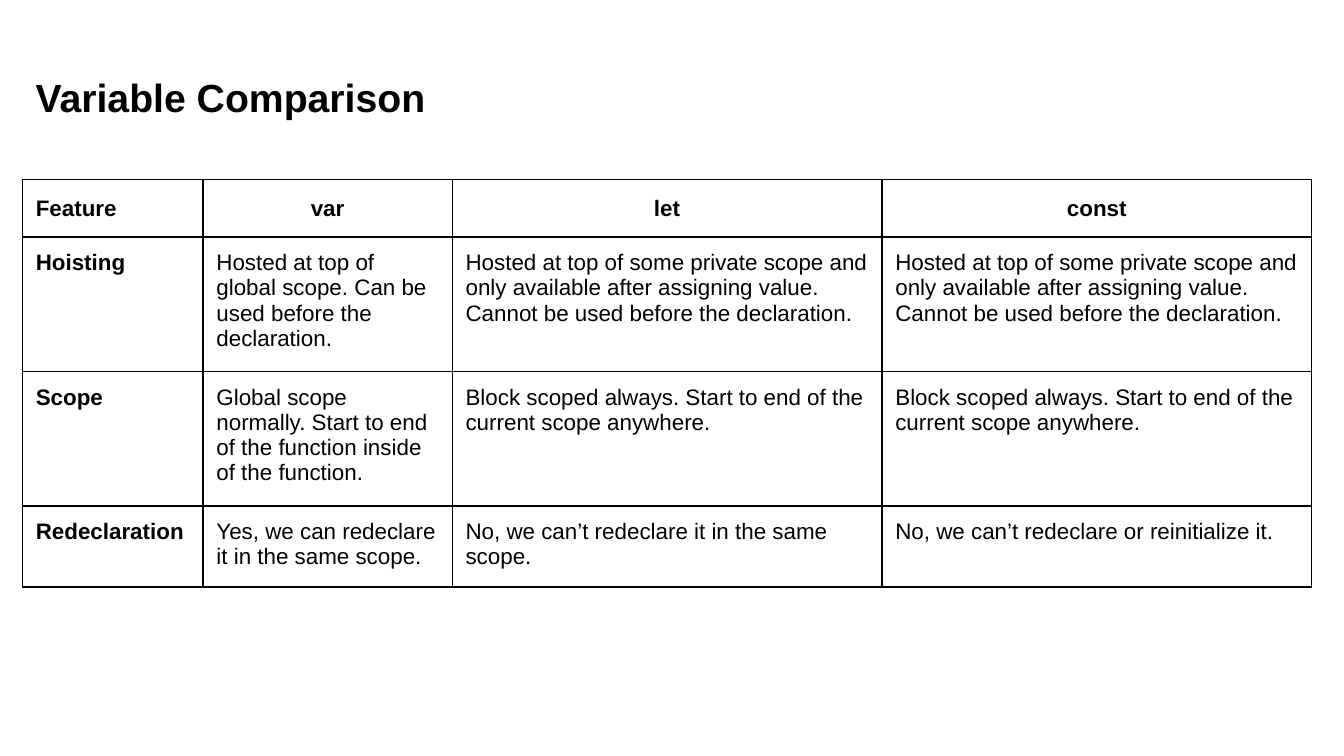
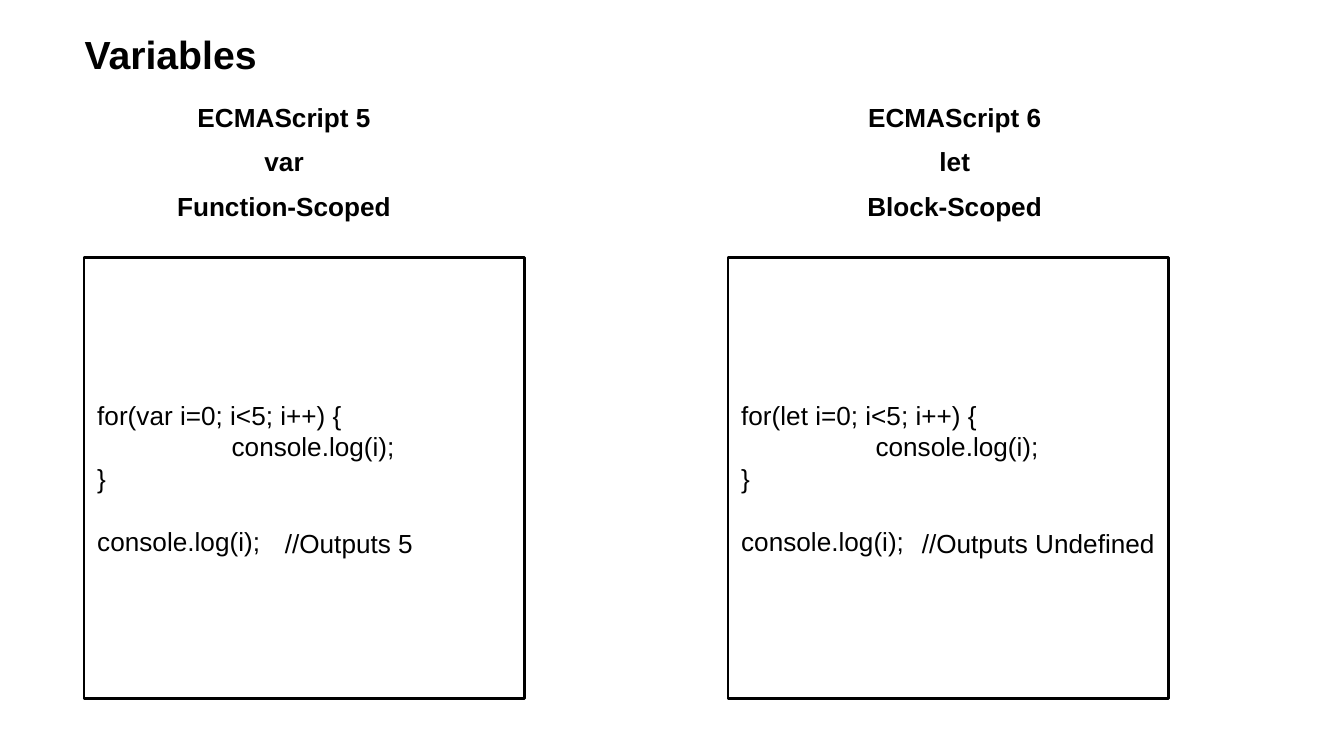
from dataclasses import dataclass

import lxml.etree
import pptx
import pptx.dml.color
import pptx.enum.shapes
import pptx.enum.text
import pptx.oxml.ns
import pptx.util

ALIGN = pptx.enum.text.PP_ALIGN
ANCHOR = pptx.enum.text.MSO_ANCHOR
FIT = pptx.enum.text.MSO_AUTO_SIZE
qn = pptx.oxml.ns.qn
PX = 9525


@dataclass(frozen=True)
class Theme:
    ink: pptx.dml.color.RGBColor = pptx.dml.color.RGBColor(0, 0, 0)
    paper: pptx.dml.color.RGBColor = pptx.dml.color.RGBColor(255, 255, 255)
    face: str = "Arial"
    title: int = 21
    code: int = 14
    cell: int = 12
    grid_line: float = 0.75
    frame_line: float = 1.5
    inset: float = 7.2


THEME = Theme()
INSETS = {
    f"margin_{side}": pptx.util.Pt(THEME.inset)
    for side in ("left", "top", "right", "bottom")
}


@dataclass(frozen=True)
class Box:
    left: int
    top: int
    width: int
    height: int

    def emu(self):
        return [n * PX for n in (self.left, self.top, self.width, self.height)]

    def inner(self, dx, dy, width, height):
        return Box(self.left + dx, self.top + dy, width, height)


def assign(target, values):
    for name, value in values.items():
        setattr(target, name, value)


def write(paragraph, text, size, bold=False, **layout):
    assign(paragraph, layout)
    run = paragraph.add_run()
    run.text = text
    assign(run.font, {"name": THEME.face, "size": pptx.util.Pt(size), "bold": bold})
    run.font.color.rgb = THEME.ink


def add_label(slide, box, text, size, bold=False, fit=FIT.SHAPE_TO_FIT_TEXT, **layout):
    frame = slide.shapes.add_textbox(*box.emu()).text_frame
    assign(frame, {**INSETS, "word_wrap": True, "auto_size": fit})
    paragraph = frame.paragraphs[0]
    write(paragraph, text, size, bold, **layout)
    return paragraph


def add_title(slide, box, text):
    add_label(slide, box, text, THEME.title, bold=True)


def add_heading(slide, box, text):
    paragraph = add_label(
        slide, box, text, THEME.code, bold=True, fit=FIT.NONE,
        alignment=ALIGN.CENTER, line_spacing=0.9,
    )
    properties = paragraph._p.get_or_add_pPr()
    properties.set("marL", str(18 * PX))
    properties.set("indent", str(-10 * PX))


def add_tab_stop(paragraph, position):
    properties = paragraph._p.get_or_add_pPr()
    stops = lxml.etree.SubElement(properties, qn("a:tabLst"))
    lxml.etree.SubElement(stops, qn("a:tab"), pos=str(position * PX), algn="l")


def add_borders(cell):
    properties = cell._tc.get_or_add_tcPr()
    for side in ("lnL", "lnR", "lnT", "lnB"):
        line = lxml.etree.SubElement(
            properties, qn(f"a:{side}"), w=str(pptx.util.Pt(THEME.grid_line))
        )
        fill = lxml.etree.SubElement(line, qn("a:solidFill"))
        lxml.etree.SubElement(fill, qn("a:srgbClr"), val=str(THEME.ink))


def add_comparison(slide, box, widths, heights, rows):
    table = slide.shapes.add_table(len(rows), len(widths), *box.emu()).table
    assign(table, {"first_row": False, "horz_banding": False})
    for column, width in zip(table.columns, widths):
        column.width = width * PX
    for row, height in zip(table.rows, heights):
        row.height = height * PX
    for r, texts in enumerate(rows):
        for c, text in enumerate(texts):
            cell = table.cell(r, c)
            assign(cell, {**INSETS, "vertical_anchor": ANCHOR.TOP})
            add_borders(cell)
            cell.fill.background()
            layout = {"line_spacing": 1.15} if r == 0 else {}
            if r == 0 and c > 0:
                layout["alignment"] = ALIGN.CENTER
            write(cell.text_frame.paragraphs[0], text, THEME.cell,
                  bold=r == 0 or c == 0, **layout)


def add_code_panel(slide, box, keyword, headings, heading_dx,
                   output, output_dx, output_width):
    for i, heading in enumerate(headings):
        add_heading(slide, box.inner(heading_dx, 32 * i - 119, 296, 36), heading)

    panel = slide.shapes.add_shape(
        pptx.enum.shapes.MSO_SHAPE.RECTANGLE, *box.emu()
    )
    panel.shadow.inherit = False
    panel.fill.background()
    panel.line.color.rgb = THEME.ink
    panel.line.width = pptx.util.Pt(THEME.frame_line)
    frame = panel.text_frame
    assign(frame, {**INSETS, "word_wrap": True, "vertical_anchor": ANCHOR.MIDDLE})

    loop = [f"for({keyword} i=0; i<5; i++) {{", "\tconsole.log(i);", "}"]
    for i, code in enumerate(loop):
        paragraph = frame.add_paragraph() if i else frame.paragraphs[0]
        if code.startswith("\t"):
            add_tab_stop(paragraph, 96)
        write(paragraph, code, THEME.code, alignment=ALIGN.LEFT)
    write(frame.add_paragraph(), "console.log(i);", THEME.code,
          alignment=ALIGN.LEFT, space_before=pptx.util.Pt(17))

    add_label(slide, box.inner(output_dx, 183, output_width, 42),
              output, THEME.code)


def new_slide(deck):
    slide = deck.slides.add_slide(deck.slide_layouts[6])
    slide.background.fill.solid()
    slide.background.fill.fore_color.rgb = THEME.paper
    return slide


def build_comparison(deck):
    slide = new_slide(deck)
    add_title(slide, Box(16, 43, 713, 54), "Variable Comparison")
    private_scope = (
        "Hosted at top of some private scope and only available after "
        "assigning value. Cannot be used before the declaration."
    )
    block_scope = "Block scoped always. Start to end of the current scope anywhere."
    rows = [
        ["Feature", "var", "let", "const"],
        ["Hoisting",
         "Hosted at top of global scope. Can be used before the declaration.",
         private_scope, private_scope],
        ["Scope",
         "Global scope normally. Start to end of the function inside of the function.",
         block_scope, block_scope],
        ["Redeclaration",
         "Yes, we can redeclare it in the same scope.",
         "No, we can’t redeclare it in the same scope.",
         "No, we can’t redeclare or reinitialize it."],
    ]
    widths, heights = [129, 178, 307, 307], [41, 96, 96, 58]
    add_comparison(slide, Box(16, 128, sum(widths), sum(heights)),
                   widths, heights, rows)


def build_variables(deck):
    slide = new_slide(deck)
    add_title(slide, Box(51, 12, 315, 54), "Variables")
    add_code_panel(slide, Box(60, 184, 315, 315), "var",
                   ["ECMAScript 5", "var", "Function-Scoped"], -9,
                   "//Outputs 5", 134, 154)
    add_code_panel(slide, Box(520, 184, 315, 315), "let",
                   ["ECMAScript 6", "let", "Block-Scoped"], 10,
                   "//Outputs Undefined", 129, 186)


def main():
    deck = pptx.Presentation()
    assign(deck, {"slide_width": 960 * PX, "slide_height": 540 * PX})
    build_comparison(deck)
    build_variables(deck)
    deck.save("out.pptx")


if __name__ == "__main__":
    main()
